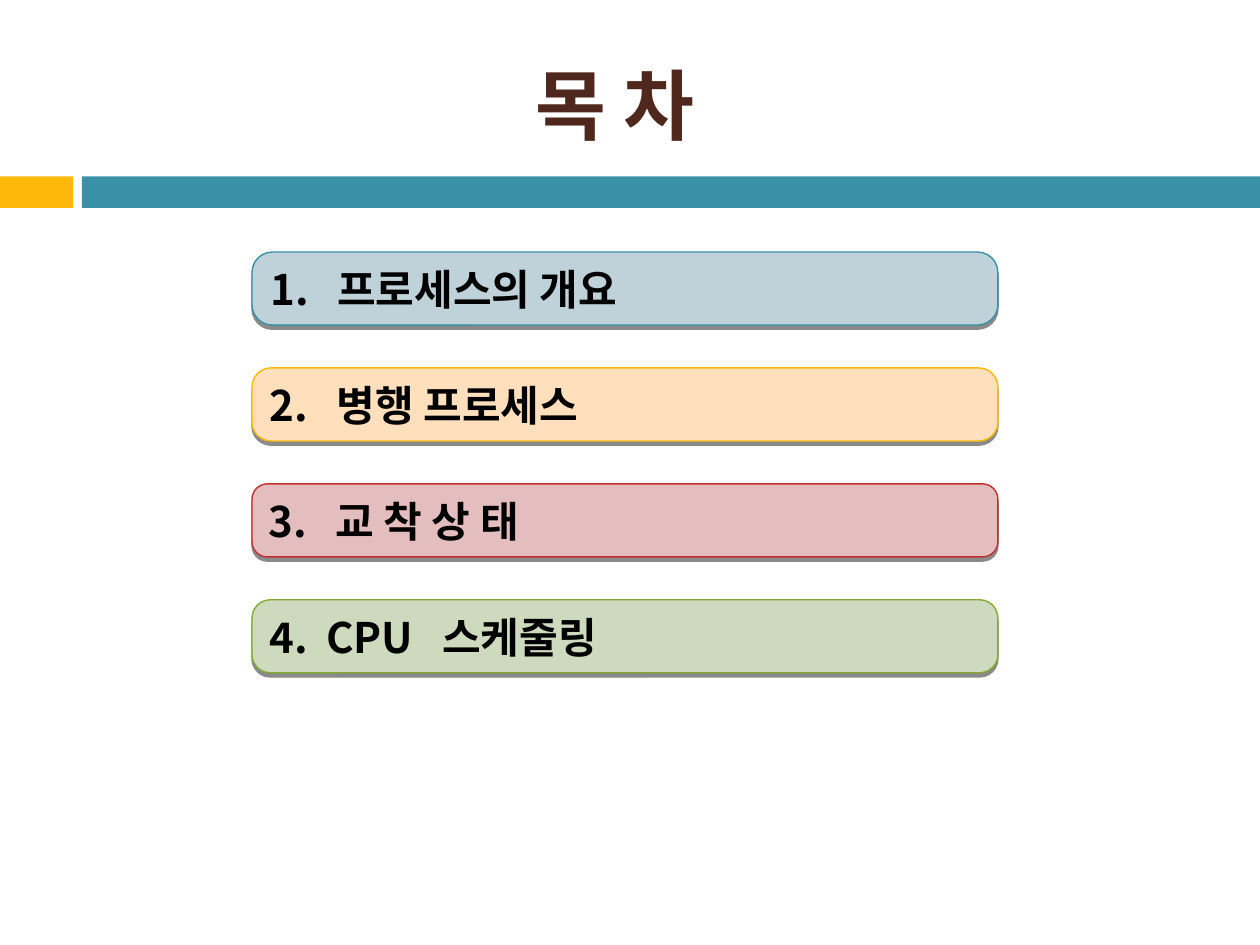
from dataclasses import dataclass

import pptx
import pptx.dml.color
import pptx.enum.shapes
import pptx.enum.text
import pptx.oxml
import pptx.oxml.ns
import pptx.util
from pptx.util import Inches

SHAPE = pptx.enum.shapes.MSO_SHAPE
ALIGN = pptx.enum.text.PP_ALIGN
MIDDLE = pptx.enum.text.MSO_ANCHOR.MIDDLE
NS = pptx.oxml.ns.nsdecls("a")


@dataclass(frozen=True)
class Theme:
    font: str = "Noto Sans CJK KR"
    title_size: int = 44
    item_size: int = 24
    title: str = "4F271C"
    text: str = "000000"
    teal: str = "3891A7"
    amber: str = "FEB80A"
    red: str = "C32D2E"
    green: str = "84AA33"
    shadow: str = "000000"


@dataclass(frozen=True)
class Item:
    text: str
    fill: str
    line: str
    corner: float
    tabs: tuple[float, ...] = (0.53,)


THEME = Theme()
ITEMS = [
    Item("1.\t프로세스의 개요", "BFD2D9", THEME.teal, 0.28),
    Item("2.\t병행 프로세스", "FFDFBC", THEME.amber, 0.26),
    Item("3.\t교 착 상 태", "E4BEBE", THEME.red, 0.21),
    Item("4.\tCPU\t스케줄링", "CEDABE", THEME.green, 0.25, (0.45, 1.37)),
]
ITEM_LEFT, ITEM_TOP, ITEM_WIDTH, ITEM_HEIGHT = 2, 2, 5.92, 0.58
ITEM_PITCH = 0.92
BAR_TOP, BAR_HEIGHT = 1.4, 0.25


def rgb(value: str) -> pptx.dml.color.RGBColor:
    return pptx.dml.color.RGBColor.from_string(value)


def add_run(p, text: str, size: int, color: str) -> None:
    r = p.add_run()
    r.text = text
    r.font.size = pptx.util.Pt(size)
    r.font.bold = True
    r.font.color.rgb = rgb(color)
    r.font.name = THEME.font
    r.font._element.append(
        pptx.oxml.parse_xml(f'<a:ea {NS} typeface="{THEME.font}"/>')
    )


def add_title(s, text: str) -> None:
    sp = s.shapes.title
    sp.left, sp.top = Inches(0.42), Inches(0.28)
    sp.width, sp.height = Inches(8.92), Inches(1.08)
    tf = sp.text_frame
    tf.vertical_anchor = MIDDLE
    p = tf.paragraphs[0]
    p.alignment = ALIGN.CENTER
    add_run(p, text, THEME.title_size, THEME.title)


def add_bar(s, left: float, width: float, color: str) -> None:
    sp = s.shapes.add_shape(
        SHAPE.RECTANGLE, Inches(left), Inches(BAR_TOP), Inches(width), Inches(BAR_HEIGHT)
    )
    sp.shadow.inherit = False
    sp.fill.solid()
    sp.fill.fore_color.rgb = rgb(color)
    sp.line.fill.background()


def add_drop_shadow(sp) -> None:
    sp.shadow.inherit = False
    effects = sp._element.spPr.find(pptx.oxml.ns.qn("a:effectLst"))
    effects.append(pptx.oxml.parse_xml(
        f'<a:outerShdw {NS} blurRad="0" dist="{pptx.util.Pt(2.4)}" dir="5400000" '
        f'rotWithShape="0"><a:srgbClr val="{THEME.shadow}">'
        '<a:alpha val="45000"/></a:srgbClr></a:outerShdw>'
    ))


def add_item(s, item: Item, top: float) -> None:
    sp = s.shapes.add_shape(
        SHAPE.ROUNDED_RECTANGLE,
        Inches(ITEM_LEFT), Inches(top), Inches(ITEM_WIDTH), Inches(ITEM_HEIGHT),
    )
    sp.adjustments[0] = item.corner
    sp.fill.solid()
    sp.fill.fore_color.rgb = rgb(item.fill)
    sp.line.color.rgb = rgb(item.line)
    sp.line.width = pptx.util.Pt(0.79)
    add_drop_shadow(sp)
    tf = sp.text_frame
    tf.word_wrap = True
    tf.vertical_anchor = MIDDLE
    p = tf.paragraphs[0]
    p.alignment = ALIGN.LEFT
    stops = "".join(f'<a:tab pos="{Inches(pos)}" algn="l"/>' for pos in item.tabs)
    p._p.get_or_add_pPr().append(
        pptx.oxml.parse_xml(f"<a:tabLst {NS}>{stops}</a:tabLst>")
    )
    add_run(p, item.text, THEME.item_size, THEME.text)


def main() -> None:
    prs = pptx.Presentation()
    prs.slide_width, prs.slide_height = Inches(10), Inches(7.5)
    s = prs.slides.add_slide(prs.slide_layouts.get_by_name("Title Only"))
    add_bar(s, 0, 0.58, THEME.amber)
    add_bar(s, 0.65, 9.35, THEME.teal)
    add_title(s, "목 차")
    for i, item in enumerate(ITEMS):
        add_item(s, item, ITEM_TOP + i * ITEM_PITCH)
    prs.save("out.pptx")


if __name__ == "__main__":
    main()
